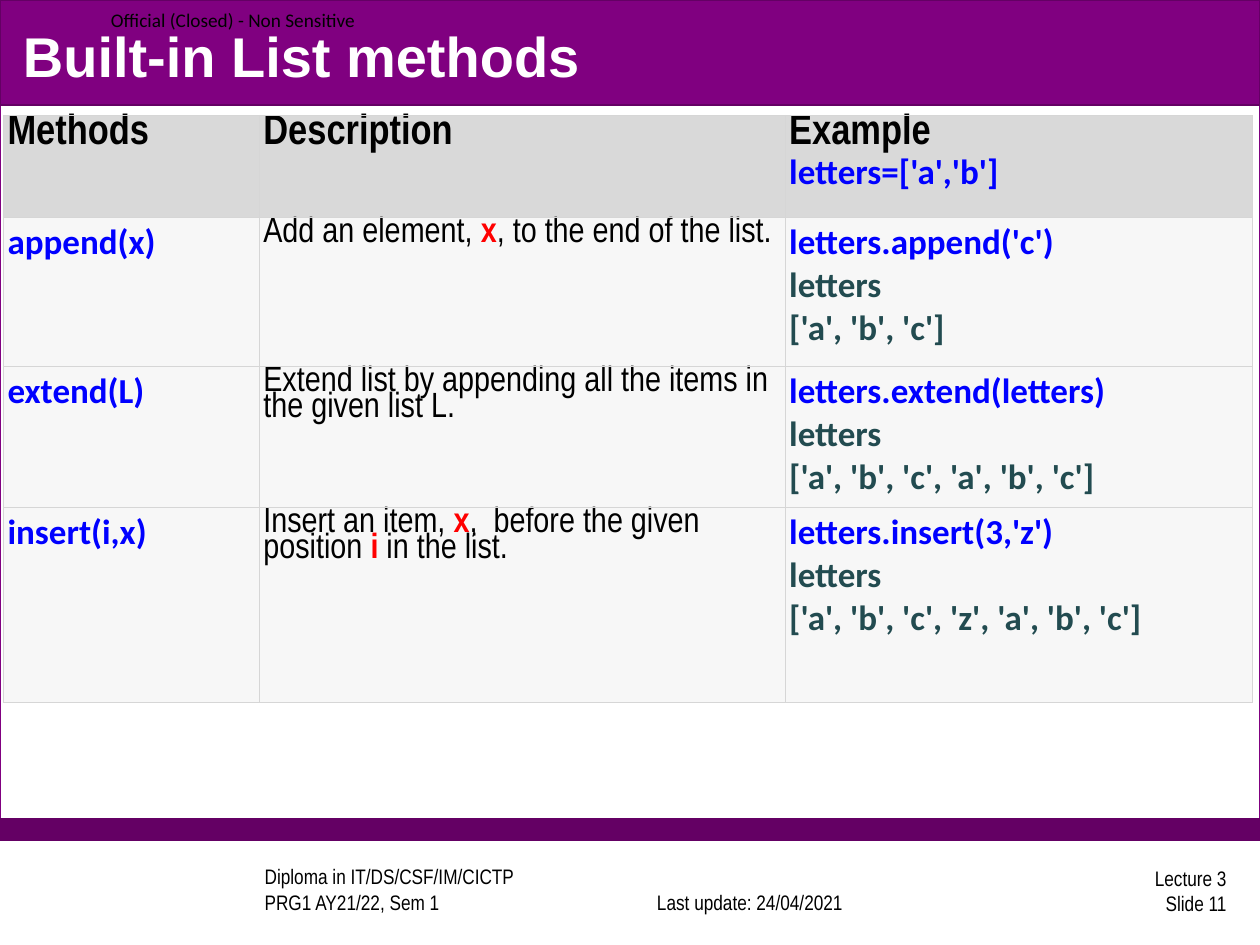
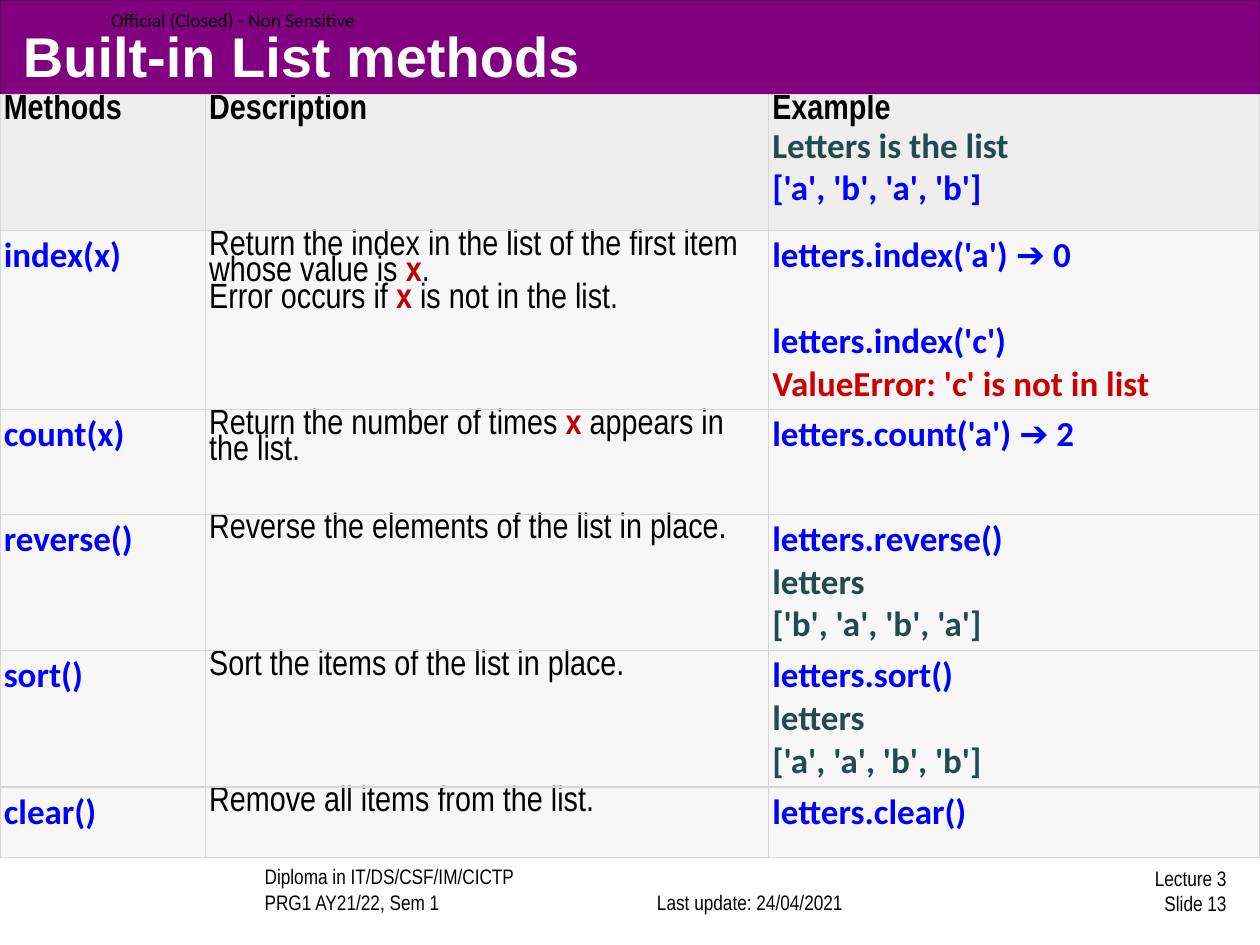
from lxml.etree import SubElement
from pptx import Presentation
from pptx.dml.color import RGBColor
from pptx.enum.shapes import MSO_SHAPE
from pptx.enum.text import MSO_ANCHOR, PP_ALIGN
from pptx.oxml.ns import qn
from pptx.util import Pt

# Content: a description alternates plain text and highlighted names;
# an example line is (style, text) or (style, text, space before)
SLIDES = [
    {
        "title": "Built-in List methods",
        "number": 11,
        "origin": (2.16, 66),
        "columns": (146.2, 300.5, 267),
        "heights": (58.3, 85, 80.6, 111.6),
        "head_size": 24,
        "head_fill": "head_dark",
        "highlight": "bright_red",
        "setup": [("code", "letters=['a','b']")],
        "methods": [
            ("append(x)",
             [("Add an element, ", "x", ", to the end of the list.")],
             [("code", "letters.append('c')"), ("result", "letters"),
              ("result", "['a', 'b', 'c']")]),
            ("extend(L)",
             [("Extend list by appending all the items in the given list L.",)],
             [("code", "letters.extend(letters)"), ("result", "letters"),
              ("result", "['a', 'b', 'c', 'a', 'b', 'c']")]),
            ("insert(i,x)",
             [("Insert an item, ", "x", ",  before the given position ", "i",
               " in the list.")],
             [("code", "letters.insert(3,'z')"), ("result", "letters"),
              ("result", "['a', 'b', 'c', 'z', 'a', 'b', 'c']")]),
        ],
    },
    {
        "title": "Built-in List methods",
        "number": 13,
        "origin": (0, 54),
        "columns": (117.4, 321.8, 280.8),
        "heights": (77.8, 102.2, 59.8, 78, 78, 40.3),
        "head_size": 20,
        "head_fill": "head_light",
        "highlight": "dark_red",
        "setup": [("result", "Letters is the list"),
                  ("code", "['a', 'b', 'a', 'b']")],
        "methods": [
            ("index(x)",
             [("Return the index in the list of the first item whose value is ",
               "x", "."),
              ("Error occurs if ", "x", " is not in the list.")],
             [("code", "letters.index('a') ➔ 0"),
              ("code", "letters.index('c')", 24.4),
              ("error", "ValueError: 'c' is not in list")]),
            ("count(x)",
             [("Return the number of times ", "x ", "appears in the list.")],
             [("code", "letters.count('a') ➔ 2")]),
            ("reverse()",
             [("Reverse the elements of the list in place.",)],
             [("code", "letters.reverse()"), ("result", "letters"),
              ("result", "['b', 'a', 'b', 'a']")]),
            ("sort()",
             [("Sort the items of the list in place.",)],
             [("code", "letters.sort()"), ("result", "letters"),
              ("result", "['a', 'a', 'b', 'b']")]),
            ("clear()",
             [("Remove all items from the list.",)],
             [("code", "letters.clear()")]),
        ],
    },
]
HEADINGS = ("Methods", "Description", "Example")
NOTICE = "Official (Closed) - Non Sensitive"
COURSE = ("Diploma in IT/DS/CSF/IM/CICTP", "PRG1 AY21/22, Sem 1")
UPDATED = ("Last update: 24/04/2021",)
LECTURE = "Lecture 3"

# Shared look
COLOURS = {
    "white": "FFFFFF", "black": "000000", "purple": "800080",
    "deep_purple": "640064", "blue": "0000FF", "teal": "224B50",
    "bright_red": "FF0000", "dark_red": "C00000", "error_red": "CC0000",
    "head_dark": "D9D9D9", "head_light": "EEEEEE", "body": "F7F7F7",
    "border": "D6D6D6",
}
NARROW = "Arial Narrow"
CODE_STYLES = {"code": "blue", "result": "teal", "error": "error_red"}
BODY_SIZE = 20
CELL_INSET = 2.16
# Left, top, width, height, fill, line
BANDS = [
    (0, 0, 720, 480, "white", "purple"),
    (0, 468, 720, 12, "deep_purple", "deep_purple"),
    (0, 0, 720, 60, "purple", "deep_purple"),
]


def colour(name):
    return RGBColor.from_string(COLOURS[name])


def add_run(para, text, font, size, tint, bold=False):
    span = para.add_run()
    span.text = text
    span.font.name = font
    span.font.size = Pt(size)
    span.font.bold = bold
    span.font.color.rgb = colour(tint)


def add_text(page, place, lines, font, size, tint="black", bold=False,
             align=PP_ALIGN.LEFT, anchor=MSO_ANCHOR.MIDDLE, left_inset=7.2):
    box = page.shapes.add_textbox(*map(Pt, place))
    frame = box.text_frame
    frame.word_wrap = True
    frame.vertical_anchor = anchor
    frame.margin_left = Pt(left_inset)
    para = frame.paragraphs[0]
    para.alignment = align
    for index, line in enumerate(lines):
        if index:
            para.add_line_break()
        add_run(para, line, font, size, tint, bold)


def add_frame(page, number):
    """Bands, notice and footers found on every page."""
    for *place, fill, line in BANDS:
        band = page.shapes.add_shape(MSO_SHAPE.RECTANGLE, *map(Pt, place))
        band.shadow.inherit = False
        band.fill.solid()
        band.fill.fore_color.rgb = colour(fill)
        band.line.color.rgb = colour(line)
        band.line.width = Pt(0.75)
    add_text(page, (108, 496, 228, 30), COURSE, NARROW, 12,
             anchor=MSO_ANCHOR.BOTTOM, left_inset=43.2)
    add_text(page, (353.5, 496, 150, 30), UPDATED, NARROW, 12,
             align=PP_ALIGN.CENTER, anchor=MSO_ANCHOR.BOTTOM)
    add_text(page, (558, 494, 150, 30), (LECTURE, f"Slide {number}"), NARROW,
             12, align=PP_ALIGN.RIGHT)
    add_text(page, (0, 0, 217, 22.3), (NOTICE,), "Calibri", 11,
             left_inset=63.4)


def style_cell(cell, fill):
    cell.margin_left = cell.margin_right = Pt(CELL_INSET)
    cell.margin_top = cell.margin_bottom = Pt(CELL_INSET)
    cell.fill.solid()
    cell.fill.fore_color.rgb = colour(fill)
    properties = cell._tc.get_or_add_tcPr()
    for index, side in enumerate(("lnL", "lnR", "lnT", "lnB")):
        edge = SubElement(properties, qn(f"a:{side}"), w=str(Pt(0.75)))
        paint = SubElement(edge, qn("a:solidFill"))
        SubElement(paint, qn("a:srgbClr"), val=COLOURS["border"])
        properties.insert(index, edge)


def fill_cell(cell, paragraphs):
    """Each paragraph is (space before, runs); a run is add_run's values."""
    for index, (space, runs) in enumerate(paragraphs):
        frame = cell.text_frame
        para = frame.add_paragraph() if index else frame.paragraphs[0]
        if space:
            para.space_before = Pt(space)
        if runs[0][1] == NARROW:
            para.line_spacing = 0.8
        for run in runs:
            add_run(para, *run)


def code_lines(lines):
    return [(space[0] if space else 0,
             [(text, "Calibri", BODY_SIZE, CODE_STYLES[style], True)])
            for style, text, *space in lines]


def description_lines(lines, highlight):
    looks = (("black", False), (highlight, True))
    return [(0, [(text, NARROW, BODY_SIZE, *looks[index % 2])
                 for index, text in enumerate(parts)])
            for parts in lines]


def add_methods_table(page, content):
    columns, heights = content["columns"], content["heights"]
    table = page.shapes.add_table(
        len(heights), len(columns), *map(Pt, content["origin"]),
        Pt(sum(columns)), Pt(sum(heights))).table
    table.first_row = table.horz_banding = False
    for column, width in zip(table.columns, columns):
        column.width = Pt(width)
    for row, height in zip(table.rows, heights):
        row.height = Pt(height)

    # Heading row, then one row per method
    head = [[(0, [(text, NARROW, content["head_size"], "black", True)])]
            for text in HEADINGS]
    head[-1] += code_lines(content["setup"])
    body = [(code_lines([("code", name)]),
             description_lines(description, content["highlight"]),
             code_lines(example))
            for name, description, example in content["methods"]]
    for row_index, row in enumerate([head, *body]):
        for column_index, paragraphs in enumerate(row):
            cell = table.cell(row_index, column_index)
            style_cell(cell, "body" if row_index else content["head_fill"])
            fill_cell(cell, paragraphs)


def main():
    deck = Presentation()
    deck.slide_width, deck.slide_height = Pt(720), Pt(540)
    for content in SLIDES:
        page = deck.slides.add_slide(deck.slide_layouts[6])
        add_frame(page, content["number"])
        add_text(page, (6, 9.4, 708, 44.6), (content["title"],), "Arial", 32,
                 "white", bold=True)
        add_methods_table(page, content)
    deck.save("out.pptx")


if __name__ == "__main__":
    main()
